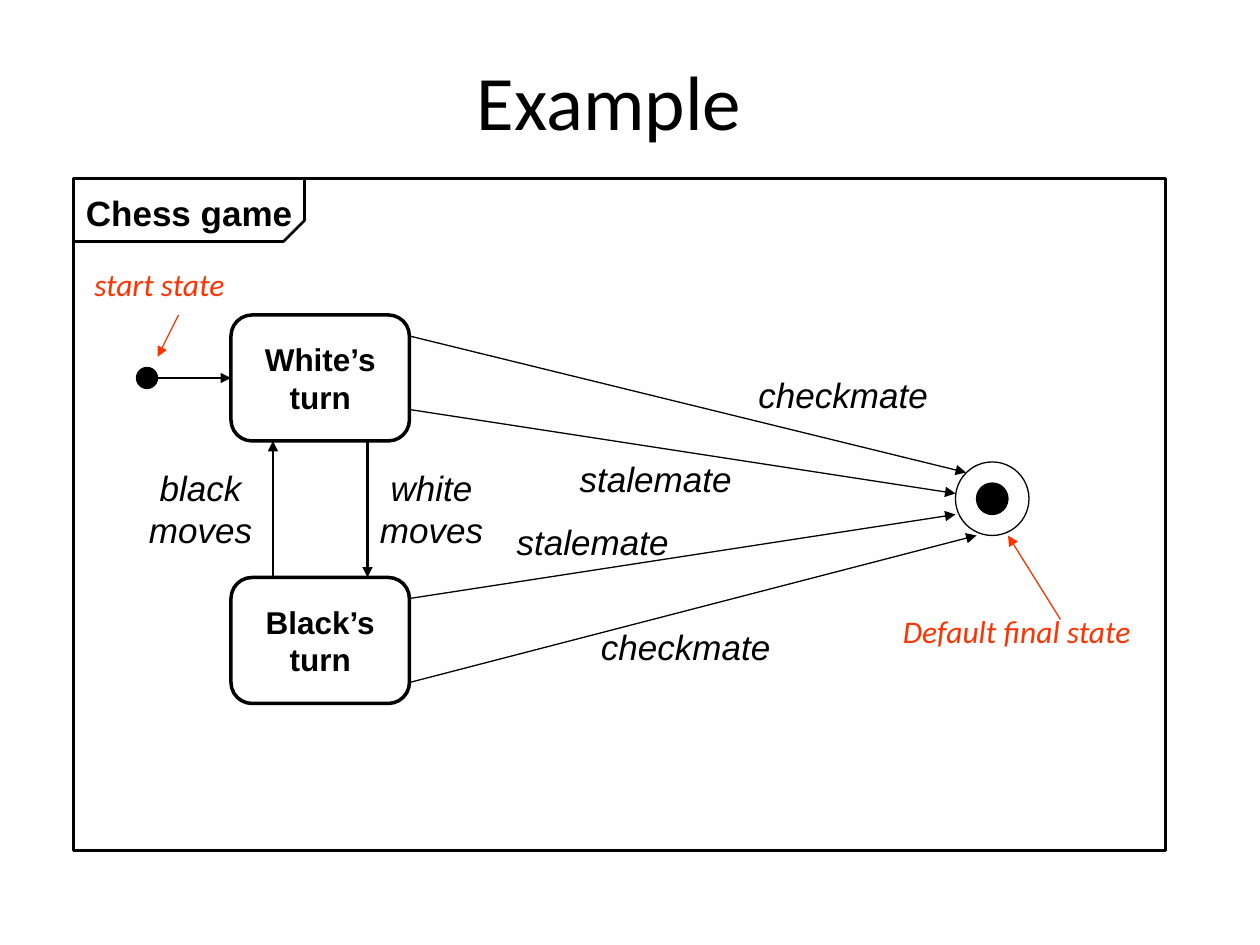
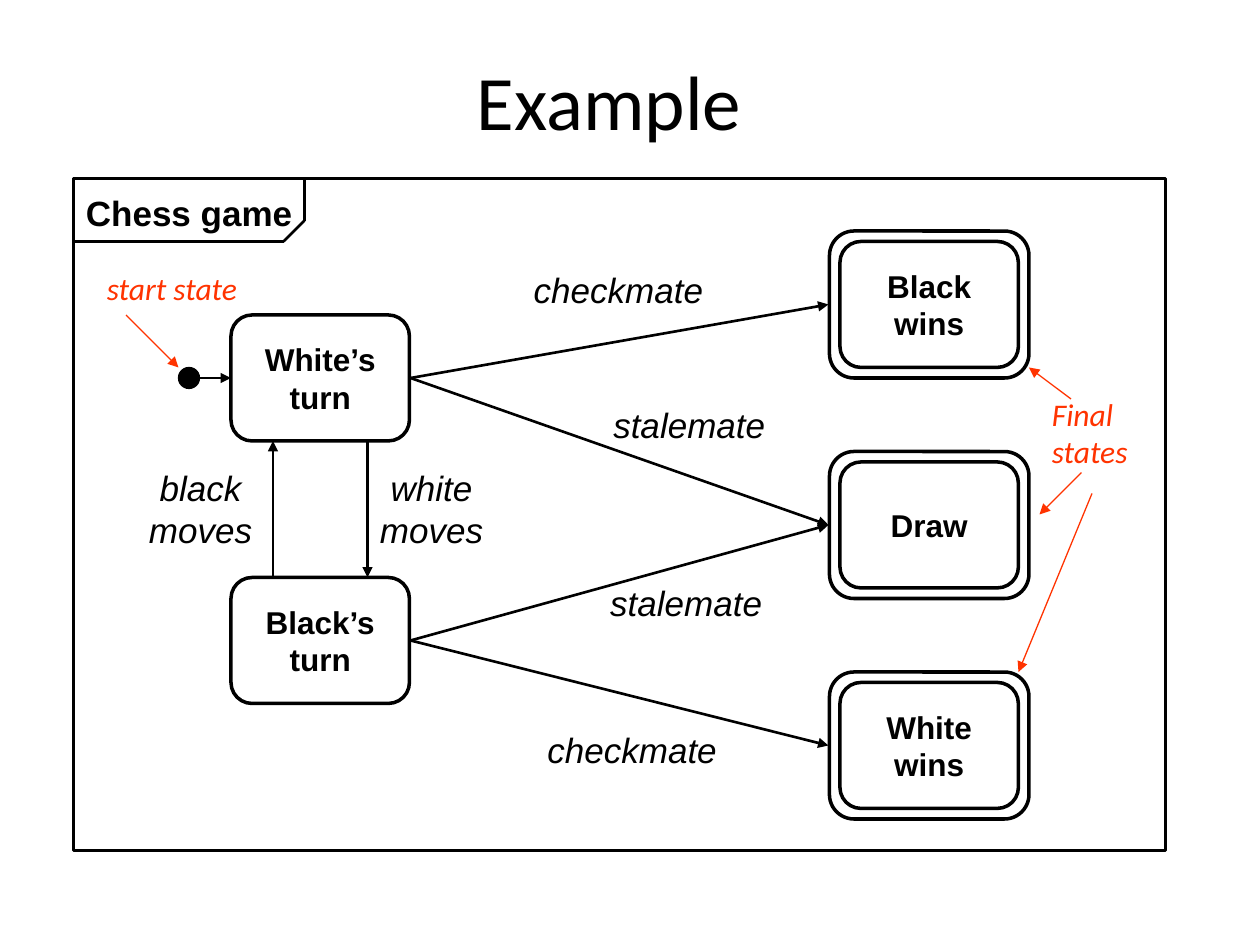
from pptx import Presentation
from pptx.util import Inches, Pt
from pptx.dml.color import RGBColor
from pptx.enum.shapes import MSO_SHAPE as Geo, MSO_CONNECTOR as Link
from pptx.enum.text import PP_ALIGN as Align, MSO_ANCHOR as Anchor
from pptx.oxml.ns import qn
from lxml.etree import SubElement as Sub

BLACK = RGBColor(0, 0, 0)
RED = RGBColor(255, 51, 0)
WIDE, HIGH = 10, 7.5
COLS, ROWS = 120, 90
FRAME = (7, 17, 104, 64)
STATE = (17, 12)
LEFT, RIGHT = 22, 80

TURNS = [("White’s\nturn", 30), ("Black’s\nturn", 55)]
ENDS = ["Black\nwins", "Draw", "White\nwins"]
END_TOP, END_STEP = 23, 21
TAB = [(29, 17, 29, 21), (7, 23, 27, 23), (29, 21, 27, 23)]
MOVES = [(35, 42, 35, 55), (26, 55, 26, 42)]
MOVE_TEXT = [("white\nmoves", 35, 43.8), ("black\nmoves", 13, 43.8)]

SLIDES = [
    {
        "start": 13, "ends": [], "final": (94.5, 47.5), "pen": 0.75,
        "paths": [(39, 32, 92, 45), (39, 39, 91, 47),
                  (39, 57, 91, 49), (39, 65, 93, 51)],
        "labels": [("checkmate", 71, 35), ("checkmate", 56, 59),
                   ("stalemate", 54, 43), ("stalemate", 48, 49)],
        "notes": [("start state", 7.8, 24.7), ("Default final state", 84.8, 57.7)],
        "hints": [(17, 30, 15, 34), (101, 59, 96, 51)],
    },
    {
        "start": 17, "ends": ENDS, "final": None, "pen": 1.5,
        "paths": [(39.1, 36, 78.9, 29), (39.1, 61, 78.9, 71),
                  (39.1, 61, 78.9, 50), (39.1, 36, 78.9, 50)],
        "labels": [("checkmate", 49.6, 25), ("checkmate", 50.9, 68.8),
                   ("stalemate", 57.2, 37.8), ("stalemate", 56.9, 54.8)],
        "notes": [("start state", 9, 25), ("Final\nstates", 99, 37)],
        "hints": [(12, 30, 17, 35), (102, 38, 98, 35),
                  (103, 45, 99, 49), (104, 47, 97, 64)],
    },
]
WIDTHS = {"checkmate": 18.6, "stalemate": 16.9, "white\nmoves": 12.2,
          "black\nmoves": 12.2, "start state": 18.4,
          "Default final state": 31.3, "Final\nstates": 11}


def grid(*cells):
    sizes = (WIDE / COLS, HIGH / ROWS) * 2
    return [Inches(cell * size) for cell, size in zip(cells, sizes)]


def write(item, text, size=18, font="Arial", color=BLACK, bold=False,
          italic=False, align=Align.CENTER, anchor=Anchor.TOP, wrap=False):
    frame = item.text_frame
    frame.text = text
    frame.word_wrap = wrap
    frame.vertical_anchor = anchor
    for para in frame.paragraphs:
        para.alignment = align
        face = para.font
        face.size, face.name = Pt(size), font
        face.bold, face.italic = bold, italic
        face.color.rgb = color


def label(slide, box, text, **style):
    write(slide.shapes.add_textbox(*grid(*box)), text, **style)


def shape(slide, kind, box, pen, fill=None):
    item = slide.shapes.add_shape(kind, *grid(*box))
    item.shadow.inherit = False
    if fill is None:
        item.fill.background()
    else:
        item.fill.solid()
        item.fill.fore_color.rgb = fill
    item.line.color.rgb = BLACK
    item.line.width = Pt(pen)
    return item


def state(slide, left, top, text="", pad=0):
    wide, high = STATE
    box = (left - pad, top - pad, wide + 2 * pad, high + 2 * pad)
    item = shape(slide, Geo.ROUNDED_RECTANGLE, box, 2)
    item.adjustments[0] = 0.167
    if text:
        write(item, text, bold=True, anchor=Anchor.MIDDLE)


def dot(slide, x, y, size, fill=BLACK):
    half = size / 2
    shape(slide, Geo.OVAL, (x - half, y - half, size, size), 0.75, fill)


def line(slide, ends, pen=1.5, color=BLACK, arrow=True):
    item = slide.shapes.add_connector(Link.STRAIGHT, *grid(*ends))
    item.line.color.rgb = color
    item.line.width = Pt(pen)
    props = item._element.spPr
    if arrow:
        Sub(props.find(qn("a:ln")), qn("a:tailEnd"), type="triangle")
    Sub(props, qn("a:effectLst"))


def base(slide):
    label(slide, (5, 2, 106, 15), "Example", size=44, font="Calibri",
          anchor=Anchor.MIDDLE, wrap=True)
    shape(slide, Geo.RECTANGLE, FRAME, 2)
    label(slide, (7, 17.6, 24, 5.2), "Chess game", size=20, bold=True,
          align=Align.LEFT, wrap=True)
    for ends in TAB:
        line(slide, ends, arrow=False)
    for text, top in TURNS:
        state(slide, LEFT, top, text)
    for ends in MOVES:
        line(slide, ends)


def build(slide, data):
    base(slide)
    start = data["start"]
    dot(slide, start + 1, 36, 2)
    line(slide, (start + 2, 36, LEFT, 36))
    for row, text in enumerate(data["ends"]):
        top = END_TOP + row * END_STEP
        state(slide, RIGHT, top, text)
        state(slide, RIGHT, top, pad=1)
    if data["final"]:
        dot(slide, *data["final"], 3)
        dot(slide, *data["final"], 7, fill=None)
    for ends in data["paths"]:
        line(slide, ends, pen=data["pen"])
    for text, x, y in MOVE_TEXT + data["labels"]:
        high = 9.2 if "\n" in text else 5.2
        label(slide, (x, y, WIDTHS[text], high), text, size=20, italic=True)
    for text, x, y in data["notes"]:
        high = 8.4 if "\n" in text else 6
        label(slide, (x, y, WIDTHS[text], high), text, font="Calibri",
              color=RED, italic=True, align=Align.LEFT, wrap=True)
    for ends in data["hints"]:
        line(slide, ends, pen=0.75, color=RED)


deck = Presentation()
deck.slide_width, deck.slide_height = Inches(WIDE), Inches(HIGH)
for data in SLIDES:
    build(deck.slides.add_slide(deck.slide_layouts[6]), data)
deck.save("out.pptx")
